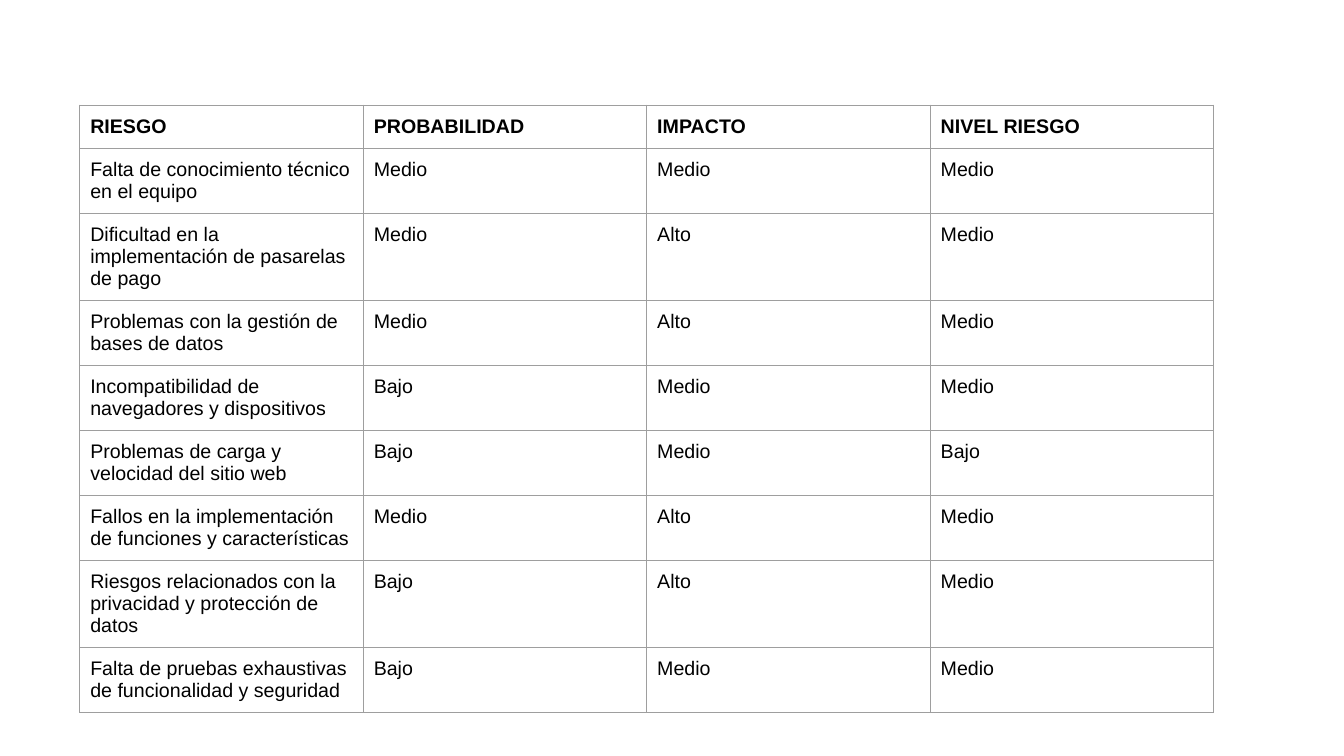
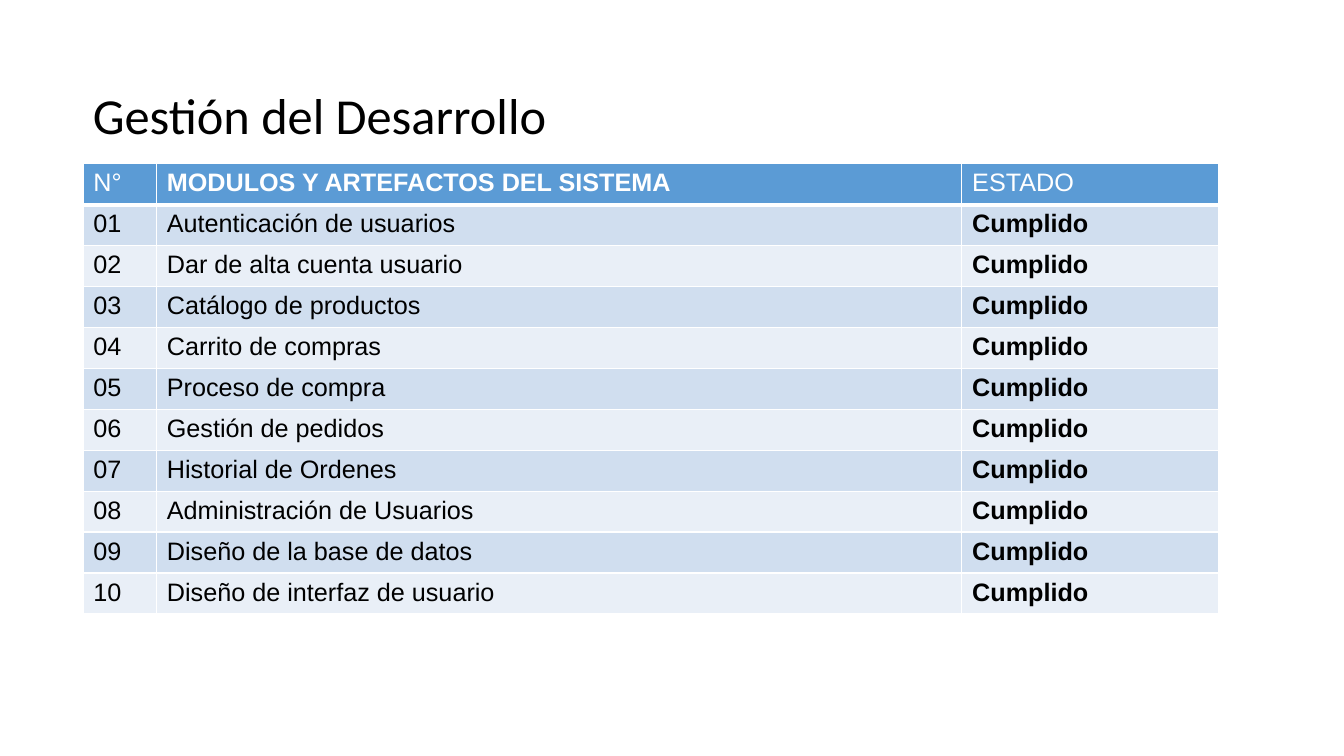
from pptx import Presentation
from pptx.dml.color import RGBColor
from pptx.enum.text import MSO_ANCHOR
from pptx.oxml import parse_xml
from pptx.oxml.ns import nsdecls
from pptx.util import Pt

PX = 9525  # 96 px to the inch
HEX = {
    "ink": "000000", "white": "FFFFFF", "grid": "9E9E9E",
    "head": "5B9BD5", "odd": "D0DEEF", "even": "E9EFF7",
}


def write(frame, text, size=18, font="Arial", color="ink", bold=False, line=None):
    para = frame.paragraphs[0]
    para.line_spacing = line
    run = para.add_run()
    run.text = text
    run.font.size = Pt(size)
    run.font.name = font
    run.font.bold = bold
    run.font.color.rgb = RGBColor.from_string(HEX[color])


def grid(slide, left, top, cols, rows, pad, edge, width):
    """Add a plain table whose cells all have the same padding and borders."""
    frame = slide.shapes.add_table(len(rows), len(cols), left * PX, top * PX,
                                   sum(cols) * PX, sum(rows) * PX)
    table = frame.table
    table.first_row = table.horz_banding = False
    for col, size in zip(table.columns, cols):
        col.width = size * PX
    for row, size in zip(table.rows, rows):
        row.height = size * PX
    for cell in table.iter_cells():
        cell.margin_left = cell.margin_right = 10 * PX
        cell.margin_top = cell.margin_bottom = pad * PX
        props = cell._tc.get_or_add_tcPr()
        for side in ("lnL", "lnR", "lnT", "lnB"):
            props.append(parse_xml(
                f'<a:{side} {nsdecls("a")} w="{Pt(width)}"><a:solidFill>'
                f'<a:srgbClr val="{HEX[edge]}"/></a:solidFill></a:{side}>'))
        cell.fill.background()
    return table


deck = Presentation()
deck.slide_width, deck.slide_height = 1280 * PX, 720 * PX
blank = deck.slide_layouts[6]

# Slide 1: risk table
risks = [
    ("RIESGO", "PROBABILIDAD", "IMPACTO", "NIVEL RIESGO"),
    ("Falta de conocimiento técnico en el equipo", "Medio", "Medio", "Medio"),
    ("Dificultad en la implementación de pasarelas de pago", "Medio", "Alto", "Medio"),
    ("Problemas con la gestión de bases de datos", "Medio", "Alto", "Medio"),
    ("Incompatibilidad de navegadores y dispositivos", "Bajo", "Medio", "Medio"),
    ("Problemas de carga y velocidad del sitio web", "Bajo", "Medio", "Bajo"),
    ("Fallos en la implementación de funciones y características", "Medio", "Alto", "Medio"),
    ("Riesgos relacionados con la privacidad y protección de datos", "Bajo", "Alto", "Medio"),
    ("Falta de pruebas exhaustivas de funcionalidad y seguridad", "Bajo", "Medio", "Medio"),
]
slide = deck.slides.add_slide(blank)
table = grid(slide, 76, 100, [270] * 4, [40, 61, 82, 61, 61, 61, 61, 82, 61],
             pad=10, edge="grid", width=0.75)
for r, row in enumerate(risks):
    for c, text in enumerate(row):
        write(table.cell(r, c).text_frame, text, size=14, bold=r == 0)

# Slide 2: title
slide = deck.slides.add_slide(blank)
box = slide.shapes.add_textbox(79, 43, 1104, 139)
box.left, box.top, box.width, box.height = (n * PX for n in (79, 43, 1104, 139))
frame = box.text_frame
frame.word_wrap = True
frame.vertical_anchor = MSO_ANCHOR.MIDDLE
write(frame, "Gestión del Desarrollo", size=36, font="Calibri", line=0.9)

# Slide 2: module table
names = [
    "Autenticación de usuarios", "Dar de alta cuenta usuario",
    "Catálogo de productos", "Carrito de compras", "Proceso de compra",
    "Gestión de pedidos", "Historial de Ordenes", "Administración de Usuarios",
    "Diseño de la base de datos", "Diseño de interfaz de usuario",
]
rows = [("N°", "MODULOS Y ARTEFACTOS DEL SISTEMA", "ESTADO")]
rows += [(f"{n:02}", name, "Cumplido") for n, name in enumerate(names, 1)]
table = grid(slide, 79, 156, [70, 767, 245], [39] * len(rows),
             pad=5, edge="white", width=1)
for r, row in enumerate(rows):
    fill = "head" if r == 0 else ("even", "odd")[r % 2]
    for c, text in enumerate(row):
        cell = table.cell(r, c)
        cell.fill.solid()
        cell.fill.fore_color.rgb = RGBColor.from_string(HEX[fill])
        write(cell.text_frame, text, color="ink" if r else "white",
              bold=c == (2 if r else 1))

# Thick rule under the header
for c in range(3):
    for r, side in ((0, "lnB"), (1, "lnT")):
        props = table.cell(r, c)._tc.tcPr
        props.find(f"{{*}}{side}").set("w", str(Pt(3)))

deck.save("out.pptx")
